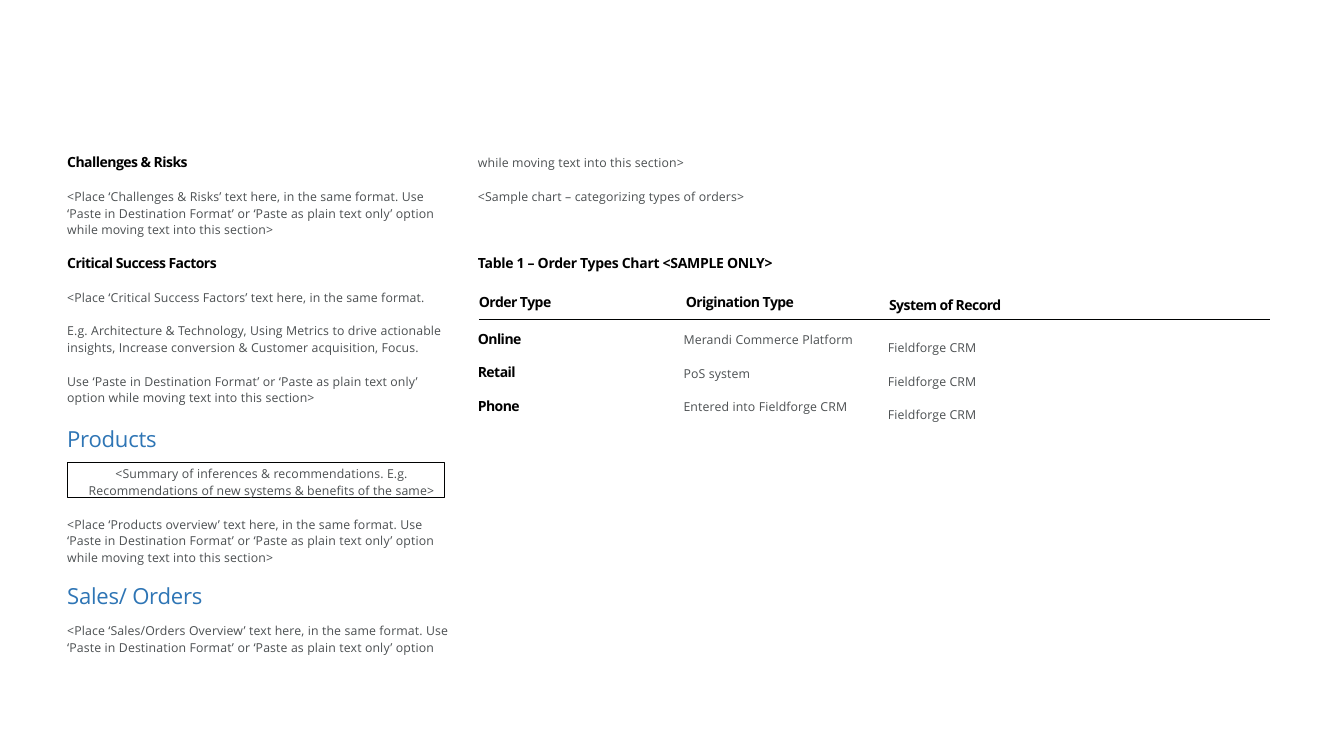
import pptx
import pptx.util
import pptx.dml.color
import pptx.enum.shapes
import pptx.enum.text
import pptx.oxml.ns
import lxml.etree

Pt = pptx.util.Pt
RGB = pptx.dml.color.RGBColor
INK = RGB(0x00, 0x00, 0x00)
GREY = RGB(0x4B, 0x4F, 0x51)
BLUE = RGB(0x2E, 0x75, 0xB5)
EDGE = RGB(0x00, 0x01, 0x01)
FONT = "Open Sans"

# style: size, colour, bold, letter spacing in points, line spacing
STYLES = {
    "head": (10, INK, True, -0.36, 1.0),
    "label": (10, INK, True, -0.2, 1.0),
    "title": (15.8, BLUE, False, -0.2, 1.0),
    "line": (8.8, GREY, False, 0.1, 1.0),
    "body": (8.8, GREY, False, 0.1, 1.14),
}
PASTE = "‘Paste in Destination Format’ or ‘Paste as plain text only’ option"
MOVE = "while moving text into this section>"
LEFT, RIGHT = 47.3, 340.7

# left, top, width, height, paragraphs (style, space before, text)
BOXES = [
    (LEFT, 108.8, 265.7, 60.5, [
        ("head", 0.6, "Challenges & Risks"),
        ("body", 11.8, "<Place ‘Challenges & Risks’ text here, in the same "
                       f"format. Use {PASTE} {MOVE}")]),
    (LEFT, 180.8, 130, 13, [("head", 0.6, "Critical Success Factors")]),
    (LEFT, 206.6, 265, 11.5, [
        ("line", 0.8, "<Place ‘Critical Success Factors’ text here, "
                      "in the same format.")]),
    (LEFT, 228.5, 272.9, 23.8, [
        ("body", 0.6, "E.g. Architecture & Technology, Using Metrics to drive "
                      "actionable insights, Increase conversion & Customer "
                      "acquisition, Focus.")]),
    (LEFT, 264.6, 254.2, 23.8, [("body", 0.6, f"Use {PASTE} {MOVE}")]),
    (LEFT, 303.1, 80, 20.2, [("title", 0.8, "Products")]),
    (LEFT, 366.8, 277.2, 101.5, [
        ("body", 0.6, "<Place ‘Products overview’ text here, in the same "
                      f"format. Use {PASTE} {MOVE}"),
        ("title", 11.9, "Sales/ Orders"),
        ("body", 9.2, "<Place ‘Sales/Orders Overview’ text here, in the same "
                      f"format. Use {PASTE}")]),
    (RIGHT, 110.2, 170, 11.5, [("line", 0.8, MOVE)]),
    (RIGHT, 134.6, 210, 11.5, [
        ("line", 0.8, "<Sample chart – categorizing types of orders>")]),
    (RIGHT, 180.8, 229, 13, [
        ("label", 0.6, "Table 1 – Order Types Chart <SAMPLE ONLY>")]),
]
SUMMARY = [
    ("line", 2.9, "<Summary of inferences & recommendations. E.g."),
    ("line", 1.5, "Recommendations of new systems & benefits of the same>"),
]
ORDERS = [
    ("Order Type", "Origination Type", "System of Record"),
    ("Online", "Merandi Commerce Platform", "Fieldforge CRM"),
    ("Retail", "PoS system", "Fieldforge CRM"),
    ("Phone", "Entered into Fieldforge CRM", "Fieldforge CRM"),
]
COLS = (147, 146, 272.9)
ROWS = (24, 27, 23.8, 23.8)
HEAD_TOPS = (4.9, 4.9, 7)
HEAD_LEFTS = (0.8, 1.6, 0.8)
BODY_TOPS = (7.2, 8.8, 14.5)
RULE = (342, 228.2, 907.2, 228.2)


def write(frame, paras, align=pptx.enum.text.PP_ALIGN.LEFT):
    """Fill a text frame with styled paragraphs."""
    for i, (style, before, text) in enumerate(paras):
        size, color, bold, gap, lead = STYLES[style]
        para = frame.paragraphs[0] if i == 0 else frame.add_paragraph()
        para.alignment = align
        para.space_before = Pt(before)
        para.line_spacing = lead
        font = para.font
        font.name, font.size, font.bold = FONT, Pt(size), bold
        font.color.rgb = color
        run = para.add_run()
        run.text = text
        run._r.get_or_add_rPr().set("spc", str(round(gap * 100)))


def inset(frame, left, top):
    """Set the margins of a wrapping, top-anchored frame."""
    frame.word_wrap = True
    frame.vertical_anchor = pptx.enum.text.MSO_ANCHOR.TOP
    frame.margin_left, frame.margin_top = Pt(left), Pt(top)
    frame.margin_right = frame.margin_bottom = 0


def stroke(shape):
    """Give a shape or connector the thin dark line."""
    shape.line.color.rgb = EDGE
    shape.line.width = Pt(0.82)


def add_orders(shapes):
    """Add the order types table."""
    table = shapes.add_table(len(ROWS), len(COLS), Pt(341.3), Pt(204.2),
                             Pt(sum(COLS)), Pt(sum(ROWS))).table
    table.first_row = table.horz_banding = False
    for col, width in zip(table.columns, COLS):
        col.width = Pt(width)
    for r, (row, high) in enumerate(zip(table.rows, ROWS)):
        row.height = Pt(high)
        tops = BODY_TOPS if r else HEAD_TOPS
        lift = ROWS[1] - ROWS[2] if r > 1 else 0
        for c, cell in enumerate(row.cells):
            cell.fill.background()
            cell.margin_left = Pt(0 if r else HEAD_LEFTS[c])
            cell.margin_right = cell.margin_bottom = 0
            cell.margin_top = Pt(tops[c] - lift)
            style = "head" if r == 0 or c == 0 else "line"
            write(cell.text_frame, [(style, 0, ORDERS[r][c])])


deck = pptx.Presentation()
deck.slide_width, deck.slide_height = Pt(960), Pt(540)
shapes = deck.slides.add_slide(deck.slide_layouts[6]).shapes

for *place, paras in BOXES:
    frame = shapes.add_textbox(*map(Pt, place)).text_frame
    inset(frame, 0.7, 0.9)
    write(frame, paras)

panel = shapes.add_shape(pptx.enum.shapes.MSO_SHAPE.RECTANGLE,
                         Pt(48.2), Pt(330.5), Pt(269.3), Pt(25))
panel.shadow.inherit = False
panel.fill.background()
stroke(panel)
inset(panel.text_frame, 8.6, 2.4)
write(panel.text_frame, SUMMARY, pptx.enum.text.PP_ALIGN.CENTER)

add_orders(shapes)
rule = shapes.add_connector(pptx.enum.shapes.MSO_CONNECTOR.STRAIGHT,
                            *map(Pt, RULE))
stroke(rule)
lxml.etree.SubElement(rule._element.spPr, pptx.oxml.ns.qn("a:effectLst"))
deck.save("out.pptx")
